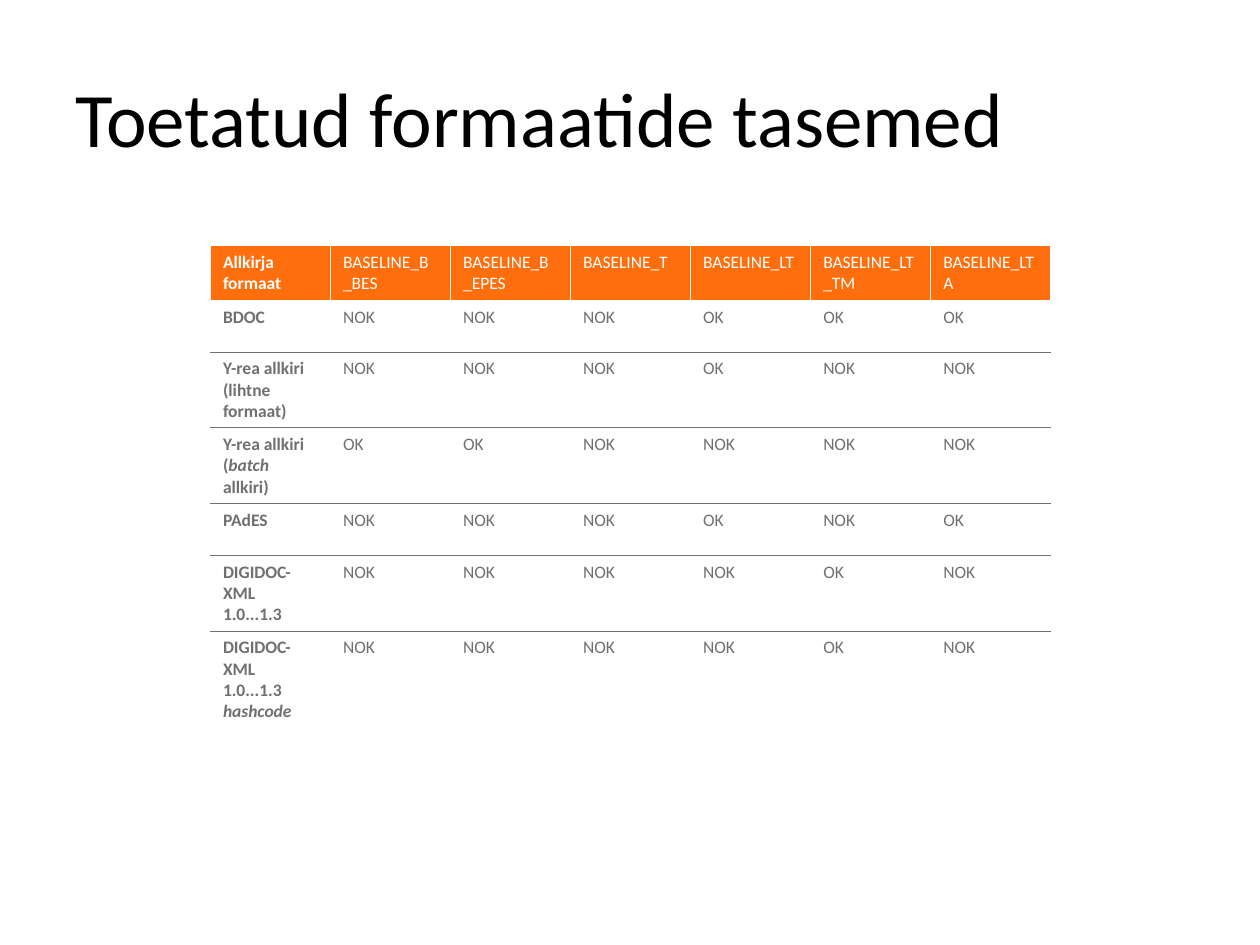
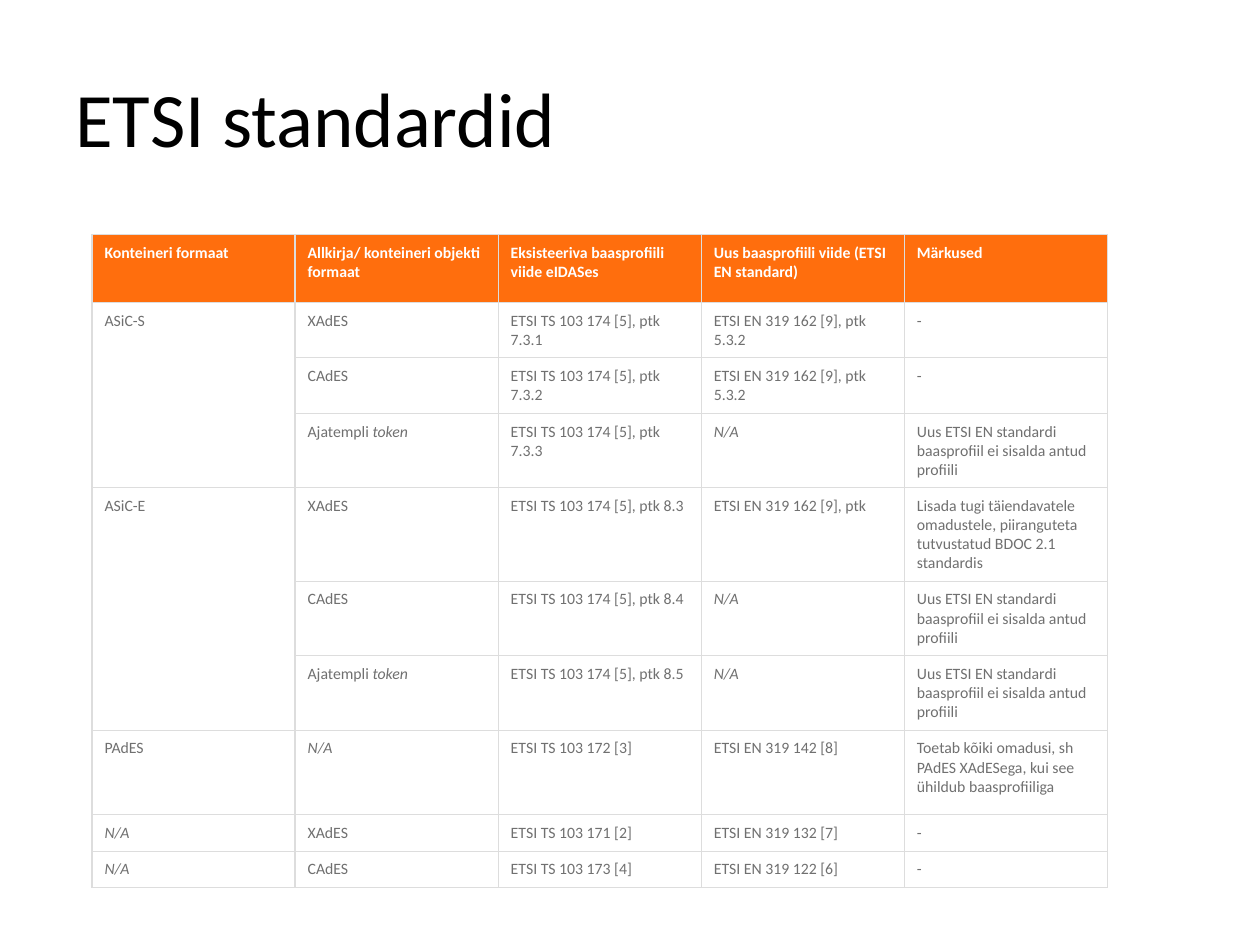
from lxml.etree import SubElement
from pptx import Presentation
from pptx.dml.color import RGBColor
from pptx.enum.text import MSO_ANCHOR
from pptx.oxml import parse_xml
from pptx.oxml.ns import nsdecls, qn
from pptx.util import Inches, Pt

FONT = "Calibri"
BLACK, WHITE, ORANGE, GRAY, SILVER = "000000", "FFFFFF", "FF6E0D", "707070", "DDDDDD"
NO_STYLE = "{2D5ABB26-0587-4C30-8999-92F81FD0307C}"
NO_PROFILE = "Uus\u00a0ETSI EN standardi baasprofiil ei sisalda antud profiili"
TS = "ETSI TS 103 174\u00a0[5], ptk "
EN = "ETSI EN 319 162 [9], ptk"

LEVELS = [
    ("Allkirja formaat", "BASELINE_B_BES", "BASELINE_B_EPES", "BASELINE_T",
     "BASELINE_LT", "BASELINE_LT_TM", "BASELINE_LTA"),
    ("BDOC", "NOK", "NOK", "NOK", "OK", "OK", "OK"),
    ("Y-rea allkiri (lihtne formaat)", "NOK", "NOK", "NOK", "OK", "NOK", "NOK"),
    ("Y-rea allkiri (*batch *allkiri)", "OK", "OK", "NOK", "NOK", "NOK", "NOK"),
    ("PAdES", "NOK", "NOK", "NOK", "OK", "NOK", "OK"),
    ("DIGIDOC-XML 1.0...1.3", "NOK", "NOK", "NOK", "NOK", "OK", "NOK"),
    ("DIGIDOC-XML 1.0...1.3 *hashcode*", "NOK", "NOK", "NOK", "NOK", "OK", "NOK"),
]
STANDARDS = [
    ("Konteineri formaat", "Allkirja/ konteineri objekti formaat",
     "Eksisteeriva baasprofiili viide eIDASes",
     "Uus baasprofiili viide (ETSI EN standard)", "Märkused"),
    ("ASiC-S", "XAdES", TS + "7.3.1", EN + " 5.3.2", "-"),
    (None, "CAdES", TS + "7.3.2", EN + " 5.3.2", "-"),
    (None, "Ajatempli *token*", TS + "7.3.3", "*N/A*", NO_PROFILE),
    ("ASiC-E", "XAdES", TS + "8.3", EN,
     "Lisada tugi täiendavatele omadustele, piiranguteta tutvustatud BDOC 2.1 standardis"),
    (None, "CAdES", TS + "8.4", "*N/A*", NO_PROFILE),
    (None, "Ajatempli *token*", TS + "8.5", "*N/A*", NO_PROFILE),
    ("PAdES", "*N/A*", "ETSI TS 103 172\u00a0[3]", "ETSI EN 319 142\u00a0[8]",
     "Toetab kõiki omadusi, sh PAdES XAdESega, kui see ühildub baasprofiiliga"),
    ("*N/A*", "XAdES", "ETSI TS 103 171\u00a0[2]", "ETSI EN 319 132\u00a0[7]", "-"),
    ("*N/A*", "CAdES", "ETSI TS 103 173 [4]", "ETSI EN 319 122\u00a0[6]", "-"),
]


def level_borders(row, last):
    if row == 0:
        return {side: (WHITE, 1) for side in "LRT"}
    sides = ("T" if row > 1 else "") + ("B" if row < last else "")
    return {side: (GRAY, 0.5) for side in sides}


def standard_borders(row, last):
    return {side: (SILVER, 0.75) for side in "LRTB"}


SLIDES = [
    dict(title="Toetatud formaatide tasemed", rows=LEVELS, at=(1.67, 1.95), width=6.67,
         heights=[0.41] * 7, size=10, pad=0.05, fill=None, borders=level_borders,
         bold=lambda row, col: col == 0),
    dict(title="ETSI standardid", rows=STANDARDS, at=(0.73, 1.86), width=8.06,
         heights=[0.54, 0.4, 0.4, 0.54, 0.67, 0.54, 0.54, 0.67, 0.27, 0.27],
         size=9, pad=0.07, fill=WHITE, borders=standard_borders,
         bold=lambda row, col: row == 0),
]


def rgb(value):
    return RGBColor.from_string(value)


def write(tf, text, size, color, bold=False):
    p = tf.paragraphs[0]
    for i, part in enumerate(text.split("*")):
        if part:
            r = p.add_run()
            r.text = part
            r.font.name, r.font.size = FONT, Pt(size)
            r.font.bold, r.font.italic = bold, i % 2 == 1
            r.font.color.rgb = rgb(color)


def set_borders(cell, borders):
    tc_pr = cell._tc.get_or_add_tcPr()
    for i, side in enumerate(s for s in "LRTB" if s in borders):
        color, width = borders[side]
        ln = parse_xml(f'<a:ln{side} {nsdecls("a")} w="{Pt(width)}"/>')
        fill = SubElement(ln, qn("a:solidFill"))
        SubElement(fill, qn("a:srgbClr"), val=color)
        tc_pr.insert(i, ln)


def add_title(s, text):
    sp = s.shapes.add_textbox(Inches(0.5), Inches(0.3), Inches(9), Inches(1.25))
    tf = sp.text_frame
    tf.word_wrap = True
    tf.vertical_anchor = MSO_ANCHOR.MIDDLE
    write(tf, text, 44, BLACK)


def add_grid(s, grid):
    rows, heights = grid["rows"], grid["heights"]
    n, m = len(rows), len(rows[0])
    left, top = grid["at"]
    frame = s.shapes.add_table(n, m, Inches(left), Inches(top),
                               Inches(grid["width"]), Inches(sum(heights)))
    table = frame.table
    table.horz_banding = False
    table._tbl.tblPr.find(qn("a:tableStyleId")).text = NO_STYLE
    for row, height in zip(table.rows, heights):
        row.height = Inches(height)
    for i, row in enumerate(rows):
        for j, text in enumerate(row):
            cell = table.cell(i, j)
            cell.margin_left, cell.margin_right = Inches(0.1), Inches(0.11)
            cell.margin_top = cell.margin_bottom = Inches(grid["pad"])
            color = ORANGE if i == 0 else grid["fill"]
            if color:
                cell.fill.solid()
                cell.fill.fore_color.rgb = rgb(color)
            else:
                cell.fill.background()
            set_borders(cell, grid["borders"](i, n - 1))
            if text:
                write(cell.text_frame, text, grid["size"],
                      WHITE if i == 0 else GRAY, grid["bold"](i, j))
    starts = [i for i, row in enumerate(rows) if row[0]] + [n]
    for start, end in zip(starts, starts[1:]):
        if end - start > 1:
            table.cell(start, 0).merge(table.cell(end - 1, 0))


def main():
    """Build the two table slides and save them."""
    prs = Presentation()
    prs.slide_width, prs.slide_height = Inches(10), Inches(7.5)
    for content in SLIDES:
        s = prs.slides.add_slide(prs.slide_layouts[6])
        add_title(s, content["title"])
        add_grid(s, content)
    prs.save("out.pptx")


main()
